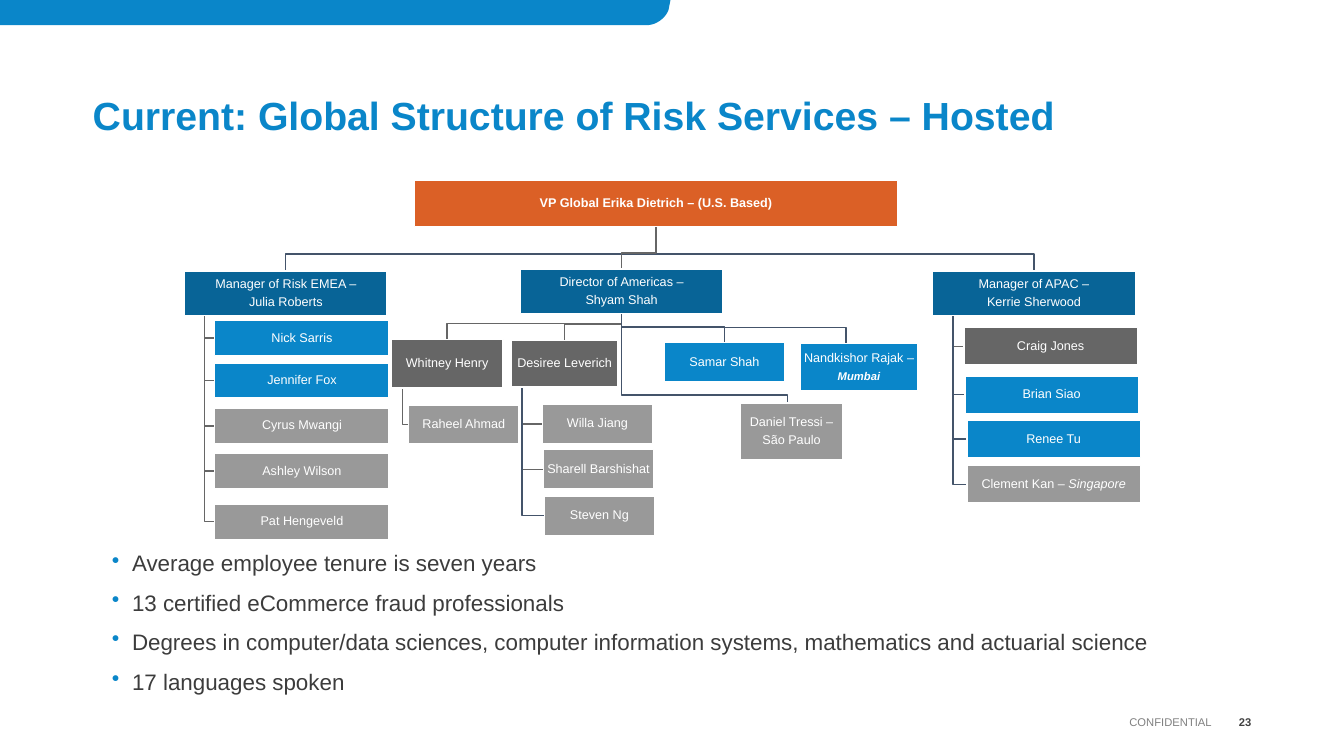
from pptx import Presentation
from pptx.dml.color import RGBColor
from pptx.enum import shapes, text
from pptx.oxml import parse_xml
from pptx.oxml.ns import nsdecls
from pptx.util import Inches, Pt

BLUE = RGBColor(0x0A, 0x86, 0xC9)
NAVY = RGBColor(0x08, 0x64, 0x97)
ORANGE = RGBColor(0xDB, 0x60, 0x26)
DARK = RGBColor(0x66, 0x66, 0x66)
GREY = RGBColor(0x99, 0x99, 0x99)
SLATE = RGBColor(0x44, 0x54, 0x6A)
WHITE = RGBColor(0xFF, 0xFF, 0xFF)
INK = RGBColor(0x3C, 0x3C, 0x3C)
PAGE = RGBColor(0x40, 0x40, 0x40)
NOTE = RGBColor(0x80, 0x80, 0x80)

# Content
TITLE = "Current: Global Structure of Risk Services – Hosted"
POINTS = [
    "Average employee tenure is seven years",
    "13 certified eCommerce fraud professionals",
    "Degrees in computer/data sciences, computer information systems, "
    "mathematics and actuarial science",
    "17 languages spoken",
]

# Leads: key, left, top, width, height, fill, lines of (text, style) runs
LEADS = [
    ("vp", 4.11, 1.79, 4.79, 0.46, ORANGE,
     [[("VP Global Erika Dietrich – (U.S. Based)", "b")]]),
    ("emea", 1.83, 2.69, 2.01, 0.44, NAVY,
     [[("Manager of Risk EMEA –", "")], [("Julia Roberts", "")]]),
    ("amer", 5.16, 2.67, 2.01, 0.44, NAVY,
     [[("Director of Americas –", "")], [("Shyam Shah", "")]]),
    ("apac", 9.25, 2.69, 2.01, 0.44, NAVY,
     [[("Manager of APAC –", "")], [("Kerrie Sherwood", "")]]),
    ("samar", 6.59, 3.4, 1.19, 0.39, BLUE, [[("Samar Shah", "")]]),
    ("nand", 7.94, 3.41, 1.16, 0.47, BLUE,
     [[("Nandkishor Rajak –", "")], [("Mumbai", "bis")]]),
    ("daniel", 7.34, 4.0, 1.02, 0.56, GREY,
     [[("Daniel Tressi –", "")], [("São Paulo", "")]]),
    ("whit", 3.88, 3.37, 1.11, 0.48, DARK, [[("Whitney Henry", "")]]),
    ("des", 5.07, 3.38, 1.06, 0.46, DARK, [[("Desiree Leverich", "")]]),
]

# Teams: lead, width, height, members (left, top, fill, runs, line colour)
TEAMS = [
    ("emea", 1.73, 0.35, [
        (2.13, 3.18, BLUE, [("Nick Sarris", "")], DARK),
        (2.13, 3.6, BLUE, [("Jennifer Fox", "")], DARK),
        (2.13, 4.05, GREY, [("Cyrus Mwangi", "")], DARK),
        (2.13, 4.5, GREY, [("Ashley Wilson", "")], DARK),
        (2.13, 5.0, GREY, [("Pat Hengeveld", "")], DARK)]),
    ("whit", 1.1, 0.38, [(4.05, 4.02, GREY, [("Raheel Ahmad", "")], DARK)]),
    ("des", 1.09, 0.39, [
        (5.38, 4.01, GREY, [("Willa Jiang", "")], DARK),
        (5.39, 4.46, GREY, [("Sharell Barshishat", "")], DARK),
        (5.4, 4.92, GREY, [("Steven Ng", "")], SLATE)]),
    ("apac", 1.72, 0.37, [
        (9.56, 3.25, DARK, [("Craig Jones", "")], DARK),
        (9.57, 3.73, BLUE, [("Brian Siao", "")], SLATE),
        (9.59, 4.17, BLUE, [("Renee Tu", "")], SLATE),
        (9.59, 4.62, GREY,
         [("Clement Kan – ", ""), ("Singapore", "i")], SLATE)]),
]

# Reports: lead, child, shift from the child's centre, bus height above, colour
DROPS = [
    ("vp", "apac", 0, 0.17, SLATE), ("vp", "emea", 0, 0.17, SLATE),
    ("vp", "amer", 0, 0.16, DARK), ("amer", "des", 0, 0.16, DARK),
    ("amer", "whit", 0, 0.16, DARK), ("amer", "daniel", -0.04, 0.08, SLATE),
    ("amer", "nand", -0.13, 0.16, SLATE), ("amer", "samar", 0, 0.16, SLATE),
]

deck = Presentation()
deck.slide_width, deck.slide_height = Inches(13.33), Inches(7.5)
slide = deck.slides.add_slide(deck.slide_layouts[6])


def trace(pts, close=False):
    pts = [(Inches(x), Inches(y)) for x, y in pts]
    form = slide.shapes.build_freeform(*pts[0])
    form.add_line_segments(pts[1:], close=close)
    shape = form.convert_to_shape()
    shape.shadow.inherit = False
    return shape


def wire(pts, color):
    line = trace(pts)
    line.fill.background()
    line.line.color.rgb = color
    line.line.width = Pt(1)


def write(para, words, size, color, bold=False, ital=False):
    run = para.add_run()
    run.text = words
    font = run.font
    font.name, font.size = "Arial", Pt(size)
    font.bold, font.italic = bold, ital
    font.color.rgb = color


def frame(shape, pad, anchor):
    body = shape.text_frame
    body.word_wrap = True
    body.vertical_anchor = anchor
    body.margin_left = body.margin_right = Inches(pad)
    body.margin_top = body.margin_bottom = Inches(pad)
    return body


def label(x, y, w, h, anchor=text.MSO_ANCHOR.TOP):
    area = slide.shapes.add_textbox(Inches(x), Inches(y), Inches(w), Inches(h))
    return frame(area, 0, anchor)


def card(x, y, w, h, fill, lines):
    box = slide.shapes.add_shape(
        shapes.MSO_SHAPE.RECTANGLE, Inches(x), Inches(y), Inches(w), Inches(h))
    box.shadow.inherit = False
    box.fill.solid()
    box.fill.fore_color.rgb = fill
    box.line.color.rgb = WHITE
    box.line.width = Pt(1)
    body = frame(box, 0.01, text.MSO_ANCHOR.MIDDLE)
    for i, runs in enumerate(lines):
        para = body.add_paragraph() if i else body.paragraphs[0]
        para.alignment = text.PP_ALIGN.CENTER
        para.line_spacing = 0.9
        if i:
            para.space_before = Pt(3.5)
        for words, style in runs:
            write(para, words, 8 if "s" in style else 9, WHITE,
                  "b" in style, "i" in style)


# Top band with a rounded corner
curve = [(6.63, 0.1), (6.6, 0.18), (6.51, 0.25), (6.41, 0.25)]
arc = []
for step in range(11):
    t = step / 10
    mix = ((1 - t) ** 3, 3 * t * (1 - t) ** 2, 3 * t * t * (1 - t), t ** 3)
    arc.append([sum(m * p[k] for m, p in zip(mix, curve)) for k in (0, 1)])
band = trace([(0, 0), (6.65, 0)] + arc + [(0, 0.25)], close=True)
band.fill.solid()
band.fill.fore_color.rgb = BLUE
band.line.fill.background()

# Lines of the chart
spot = {key: (x, y, w, h) for key, x, y, w, h, _, _ in LEADS}
for lead, w, h, staff in TEAMS:
    px, py, pw, ph = spot[lead]
    trunk = px + pw / 10
    for x, y, _, _, color in staff:
        mid = y + h / 2
        wire([(trunk, py + ph), (trunk, mid), (x, mid)], color)
for lead, child, shift, rise, color in DROPS:
    px, py, pw, ph = spot[lead]
    x, y, w, h = spot[child]
    mid, end, bus = px + pw / 2, x + w / 2 + shift, y - rise
    wire([(mid, py + ph), (mid, bus), (end, bus), (end, y)], color)

# Boxes of the chart
for key, *rest in LEADS:
    card(*rest)
for lead, w, h, staff in TEAMS:
    for x, y, fill, runs, color in staff:
        card(x, y, w, h, fill, [runs])

# Title
head = label(0.92, 0.79, 11.5, 0.59, text.MSO_ANCHOR.BOTTOM).paragraphs[0]
head.line_spacing = 0.9
write(head, TITLE, 28, BLUE, bold=True)

# Bullets
body = label(1.11, 5.45, 11.6, 1.5)
for i, point in enumerate(POINTS):
    para = body.add_paragraph() if i else body.paragraphs[0]
    props = para._p.get_or_add_pPr()
    props.set("marL", str(Inches(0.2)))
    props.set("indent", str(-Inches(0.2)))
    props.append(parse_xml(
        f'<a:buClr {nsdecls("a")}><a:srgbClr val="{BLUE}"/></a:buClr>'))
    props.append(parse_xml(f'<a:buChar {nsdecls("a")} char="•"/>'))
    if i:
        para.space_before = Pt(9)
    write(para, point, 16, INK)

# Footer
for x, w, words, color, bold in [(4.78, 7.24, "CONFIDENTIAL", NOTE, False),
                                 (12.02, 0.39, "23", PAGE, True)]:
    foot = label(x, 7.06, w, 0.2, text.MSO_ANCHOR.MIDDLE).paragraphs[0]
    foot.alignment = text.PP_ALIGN.RIGHT
    write(foot, words, 8, color, bold)

deck.save("out.pptx")
